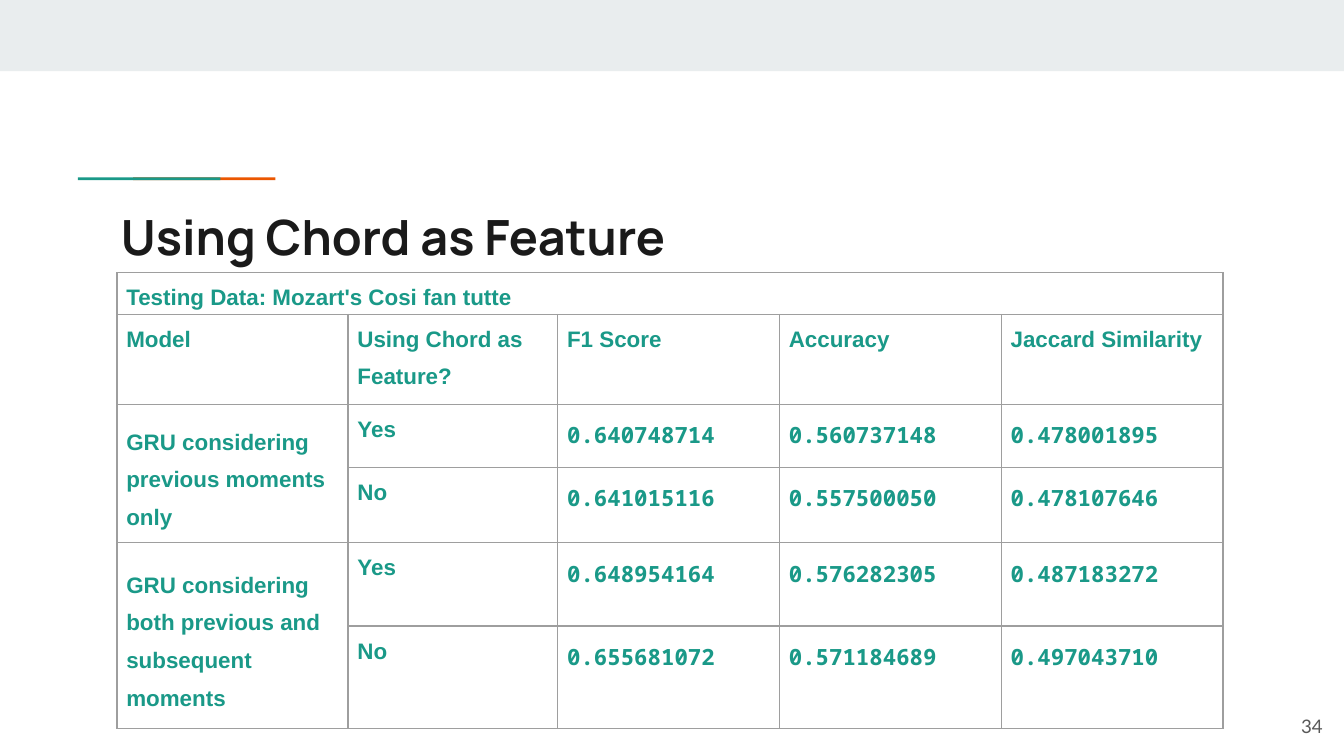
"""Build the slide comparing GRU models with and without chords as a feature."""
from lxml.etree import SubElement
from pptx import Presentation
from pptx.dml.color import RGBColor
from pptx.enum.shapes import MSO_SHAPE
from pptx.enum.text import MSO_ANCHOR, MSO_AUTO_SIZE, PP_ALIGN
from pptx.oxml.ns import qn
from pptx.util import Inches, Pt

COLORS = {"band": "E9EDEE", "orange": "EB5600", "teal": "1A9988",
          "title": "1A1A1A", "number": "595959", "border": "9E9E9E"}


def write(frame, text, font, size, color, bold=False, align=PP_ALIGN.LEFT, spacing=1.0):
    frame.word_wrap = True
    paragraph = frame.paragraphs[0]
    paragraph.alignment = align
    paragraph.line_spacing = spacing
    run = paragraph.add_run()
    run.text = text
    for name, value in {"name": font, "size": Pt(size), "bold": bold}.items():
        setattr(run.font, name, value)
    run.font.color.rgb = RGBColor.from_string(COLORS[color])


def add_borders(cell):
    properties = cell._tc.get_or_add_tcPr()
    for index, side in enumerate(("lnL", "lnR", "lnT", "lnB")):
        line = SubElement(properties, qn(f"a:{side}"), w=str(Pt(0.75)))
        fill = SubElement(line, qn("a:solidFill"))
        SubElement(fill, qn("a:srgbClr"), val=COLORS["border"])
        properties.insert(index, line)


presentation = Presentation()
presentation.slide_width = Inches(10)
presentation.slide_height = Inches(10) * 9 // 16
slide = presentation.slides.add_slide(presentation.slide_layouts[5])

for color, left, top, width, height in [
    ("band", 0, 0, 10, 0.53),
    ("orange", 0.99, 1.32, 1.06, 0.02),
    ("teal", 0.58, 1.32, 1.06, 0.02),
]:
    bar = slide.shapes.add_shape(MSO_SHAPE.RECTANGLE, Inches(left), Inches(top),
                                 Inches(width), Inches(height))
    bar.shadow.inherit = False
    bar.fill.solid()
    bar.fill.fore_color.rgb = RGBColor.from_string(COLORS[color])
    bar.line.fill.background()

title = slide.shapes.title
page_number = slide.shapes.add_textbox(Inches(9.34), Inches(5.19), Inches(0.6), Inches(0.43))
title_place = {"left": 0.8, "top": 1.44, "width": 8.41, "height": 0.59}
for name, value in title_place.items():
    setattr(title, name, Inches(value))
frame_format = {"auto_size": MSO_AUTO_SIZE.NONE, "margin_left": Inches(0.1),
                "margin_right": Inches(0.1), "margin_top": Inches(0.1),
                "margin_bottom": Inches(0.1)}
for frame, anchor in [(title.text_frame, MSO_ANCHOR.TOP),
                      (page_number.text_frame, MSO_ANCHOR.MIDDLE)]:
    for name, value in frame_format.items():
        setattr(frame, name, value)
    frame.vertical_anchor = anchor
write(title.text_frame, "Using Chord as Feature", "Manrope", 26, "title", bold=True)
write(page_number.text_frame, "34", "Lato", 10, "number", align=PP_ALIGN.RIGHT)

results = [
    ["Testing Data: Mozart's Cosi fan tutte", "", "", "", ""],
    ["Model", "Using Chord as Feature?", "F1 Score", "Accuracy", "Jaccard Similarity"],
    ["GRU considering previous moments only", "Yes",
     "0.640748714", "0.560737148", "0.478001895"],
    ["", "No", "0.641015116", "0.557500050", "0.478107646"],
    ["GRU considering both previous and subsequent moments", "Yes",
     "0.648954164", "0.576282305", "0.487183272"],
    ["", "No", "0.655681072", "0.571184689", "0.497043710"],
]
column_widths = [1.72, 1.56, 1.65, 1.65, 1.65]
row_heights = [0.31, 0.67, 0.47, 0.56, 0.62, 0.76]
scores = slide.shapes.add_table(len(results), len(column_widths), Inches(0.87), Inches(2.03),
                                Inches(sum(column_widths)), Inches(sum(row_heights))).table
scores.first_row = scores.horz_banding = False
for column, width in zip(scores.columns, column_widths):
    column.width = Inches(width)
for row, height in zip(scores.rows, row_heights):
    row.height = Inches(height)

cell_format = {"margin_left": Inches(0.07), "margin_right": Inches(0.07),
               "margin_top": 0, "margin_bottom": 0}
for row_index, values in enumerate(results):
    for column_index, value in enumerate(values):
        cell = scores.cell(row_index, column_index)
        for name, setting in cell_format.items():
            setattr(cell, name, setting)
        is_model = row_index > 1 and column_index == 0
        cell.vertical_anchor = MSO_ANCHOR.MIDDLE if is_model else MSO_ANCHOR.TOP
        cell.fill.background()
        add_borders(cell)
        if value:
            is_score = row_index > 1 and column_index > 1
            write(cell.text_frame, value, "Noto Sans Mono" if is_score else "Arial",
                  12, "teal", bold=True, spacing=1.5)

for first, last in [((0, 0), (0, 4)), ((2, 0), (3, 0)), ((4, 0), (5, 0))]:
    scores.cell(*first).merge(scores.cell(*last))

presentation.save("out.pptx")
